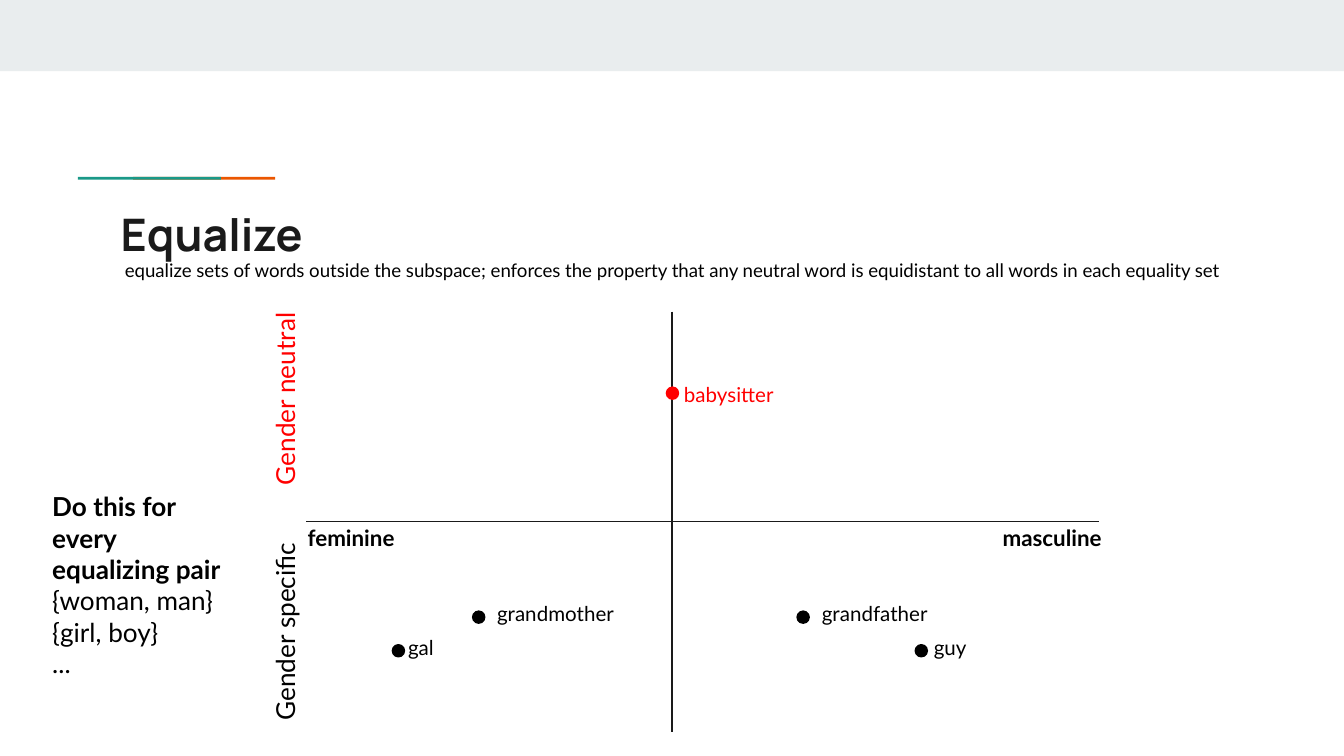
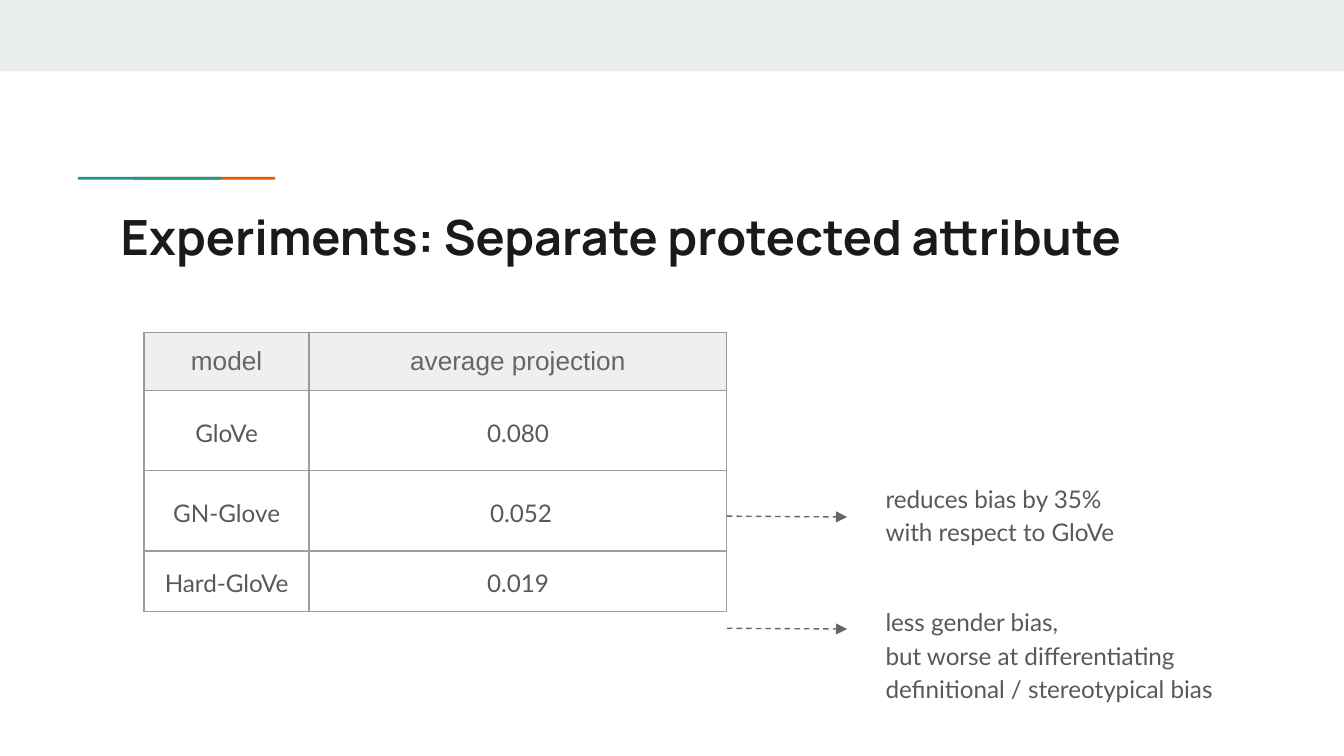
from dataclasses import dataclass
from lxml import etree
from pptx import Presentation
from pptx import util as u
from pptx.dml.color import RGBColor
from pptx.enum import dml, shapes, text
from pptx.oxml import ns


@dataclass(frozen=True)
class Theme:
    band: str = "E9EDEE"
    orange: str = "EB5600"
    green: str = "1A9988"
    ink: str = "1A1A1A"
    black: str = "000000"
    red: str = "FF0000"
    body: str = "595959"
    grey: str = "666666"
    header: str = "EFEFEF"
    header_border: str = "999999"
    border: str = "9E9E9E"
    title_font: str = "Manrope"
    body_font: str = "Lato"
    header_font: str = "Arial"
    large: int = 14
    medium: int = 13
    axis: int = 12
    word: int = 11
    small: int = 10
    line: float = 0.75
    inset: float = 7.2


theme = Theme()
Pt = u.Pt


def write(paragraph, wording, size, color, font=theme.body_font, bold=False):
    for number, line in enumerate(wording.split("\n")):
        if number:
            paragraph.add_line_break()
        run = paragraph.add_run()
        run.text = line
        run.font.size = Pt(size)
        run.font.name = font
        run.font.bold = bold
        run.font.color.rgb = RGBColor.from_string(color)


def add_text(slide, box, wording, size, color, font=theme.body_font, bold=False):
    label = slide.shapes.add_textbox(*map(Pt, box))
    frame = label.text_frame
    frame.word_wrap = True
    frame.vertical_anchor = text.MSO_ANCHOR.TOP
    frame.margin_left = frame.margin_right = Pt(theme.inset)
    frame.margin_top = frame.margin_bottom = Pt(theme.inset)
    write(frame.paragraphs[0], wording, size, color, font, bold)
    return label


deck = Presentation()
deck.slide_width, deck.slide_height = Pt(720), Pt(405)

slides = []
for title, title_size in (
    ("Equalize", 24),
    ("Experiments: Separate protected attribute", 26),
):
    slide = deck.slides.add_slide(deck.slide_layouts[6])
    for box, color in (
        ((0, 0, 720, 38.2), theme.band),
        ((71.3, 94.7, 76.2, 1.5), theme.orange),
        ((41.8, 94.7, 76.6, 1.5), theme.green),
    ):
        bar = slide.shapes.add_shape(shapes.MSO_SHAPE.RECTANGLE, *map(Pt, box))
        bar.shadow.inherit = False
        bar.fill.solid()
        bar.fill.fore_color.rgb = RGBColor.from_string(color)
        bar.line.fill.background()
    add_text(slide, (57.6, 103.6, 605.5, 42.5), title, title_size,
             theme.ink, theme.title_font, True)
    slides.append(slide)
equalize, experiments = slides

for slide, start, end, color, is_arrow in (
    (equalize, (360, 167), (360, 392.4), theme.ink, False),
    (equalize, (164, 279.5), (589, 279.5), theme.ink, False),
    (experiments, (389.4, 276.5), (453.8, 277), theme.grey, True),
    (experiments, (389.4, 336.6), (453.8, 337), theme.grey, True),
):
    rule = slide.shapes.add_connector(
        shapes.MSO_CONNECTOR.STRAIGHT, *map(Pt, start + end))
    rule.line.width = Pt(theme.line)
    rule.line.color.rgb = RGBColor.from_string(color)
    if is_arrow:
        rule.line.dash_style = dml.MSO_LINE.DASH
        etree.SubElement(rule.line._get_or_add_ln(), ns.qn("a:tailEnd"), type="triangle")
    etree.SubElement(rule._element.spPr, ns.qn("a:effectLst"))

for group, top, color in (
    ("Gender neutral", 199.4, theme.red),
    ("Gender specific", 325.4, theme.black),
):
    add_text(equalize, (92.2, top, 112.3, 23), group, theme.large, color).rotation = 270

dot_size = 6.5
for word, dot_left, dot_top, label_left, label_top, label_width, color in (
    ("babysitter", 357, 207.4, 359.3, 198, 87.8, theme.red),
    ("grandmother", 253.2, 327.4, 259.2, 315.4, 105.8, theme.black),
    ("grandfather", 427, 327.4, 433.2, 315.4, 105.8, theme.black),
    ("gal", 210.2, 345.4, 211.5, 333.4, 30.2, theme.black),
    ("guy", 490.3, 345.4, 493.2, 333.4, 105.8, theme.black),
):
    add_text(equalize, (label_left, label_top, label_width, 30.2), word, theme.word, color)
    dot = equalize.shapes.add_shape(
        shapes.MSO_SHAPE.FLOWCHART_CONNECTOR,
        *map(Pt, (dot_left, dot_top, dot_size, dot_size)))
    dot.shadow.inherit = False
    dot.fill.solid()
    dot.fill.fore_color.rgb = RGBColor.from_string(color)
    dot.line.color.rgb = RGBColor.from_string(color)
    dot.line.width = Pt(theme.line)

add_text(
    equalize, (59.8, 132.5, 605.5, 35.3),
    "equalize sets of words outside the subspace; enforces the property that "
    "any neutral word is equidistant to all words in each equality set",
    theme.small, theme.black)

pairs = add_text(equalize, (20.9, 255.6, 108.7, 128.9),
                 "Do this for every equalizing pair", theme.large, theme.black, bold=True)
for pair in ("{woman, man}", "{girl, boy}", "..."):
    write(pairs.text_frame.add_paragraph(), pair, theme.large, theme.black)

for pole, left in (("feminine", 157.7), ("masculine", 530)):
    add_text(equalize, (left, 273.6, 71.3, 24.5), pole, theme.axis, theme.black, bold=True)

projections = (
    ("model", "average projection"),
    ("GloVe", "0.080"),
    ("GN-Glove", " 0.052"),
    ("Hard-GloVe", "0.019"),
)
widths = (88.4, 223.8)
heights = (30.4, 43, 43, 32.2)
results = experiments.shapes.add_table(
    len(heights), len(widths), Pt(77.2), Pt(178), Pt(sum(widths)), Pt(sum(heights))).table
results.first_row = results.horz_banding = False
for column, width in zip(results.columns, widths):
    column.width = Pt(width)
for number, (row, height, values) in enumerate(zip(results.rows, heights, projections)):
    row.height = Pt(height)
    for cell, value in zip(row.cells, values):
        cell.vertical_anchor = text.MSO_ANCHOR.MIDDLE
        cell.margin_left = cell.margin_right = Pt(theme.inset)
        cell.margin_top = cell.margin_bottom = Pt(theme.inset)
        paragraph = cell.text_frame.paragraphs[0]
        paragraph.alignment = text.PP_ALIGN.CENTER
        for side in ("L", "R", "T", "B"):
            in_header = number == 0 or (number == 1 and side == "T")
            edge = etree.SubElement(cell._tc.get_or_add_tcPr(), ns.qn(f"a:ln{side}"),
                                    w=str(Pt(theme.line)))
            paint = etree.SubElement(edge, ns.qn("a:solidFill"))
            etree.SubElement(paint, ns.qn("a:srgbClr"),
                             val=theme.header_border if in_header else theme.border)
        if number == 0:
            cell.fill.solid()
            cell.fill.fore_color.rgb = RGBColor.from_string(theme.header)
            write(paragraph, value, theme.large, theme.grey, theme.header_font)
        else:
            cell.fill.background()
            paragraph.line_spacing = 1.15
            paragraph.space_after = Pt(16)
            write(paragraph, value, theme.medium, theme.body)

for finding, top in (
    ("reduces bias by 35%\nwith respect to GloVe", 249.8),
    ("less gender bias,\nbut worse at differentiating\ndefinitional / stereotypical bias", 316),
):
    note = add_text(experiments, (467.3, top, 210.2, 54.7), finding, theme.medium, theme.body)
    note.text_frame.paragraphs[0].line_spacing = 1.15
    note.text_frame.paragraphs[0].space_after = Pt(16)

deck.save("out.pptx")
